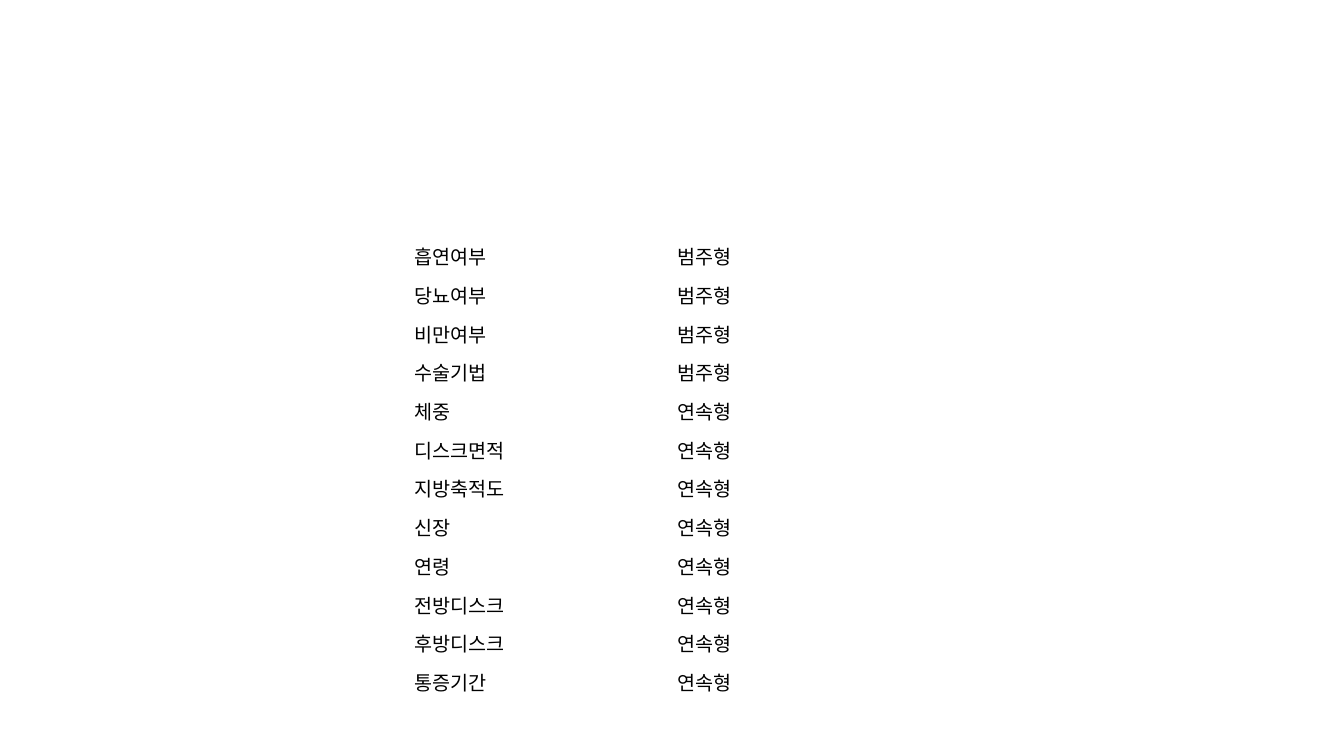
import pptx
import pptx.dml.color
import pptx.util

SLIDE_W, SLIDE_H = pptx.util.Inches(13.33), pptx.util.Inches(7.5)
CATEGORICAL, CONTINUOUS = "범주형", "연속형"
VARIABLES = {
    CATEGORICAL: ["흡연여부", "당뇨여부", "비만여부", "수술기법"],
    CONTINUOUS: ["체중", "디스크면적", "지방축적도", "신장", "연령",
                 "전방디스크", "후방디스크", "통증기간"],
}


def color(hex_string):
    return pptx.dml.color.RGBColor.from_string(hex_string)


def format_cell(cell, text):
    cell.text = text
    cell.fill.background()
    margin = pptx.util.Inches(0.05)
    cell.margin_left = cell.margin_right = margin
    cell.margin_top = cell.margin_bottom = margin
    font = cell.text_frame.paragraphs[0].font
    font.name = "Arial"
    font.size = pptx.util.Pt(14)
    font.color.rgb = color("000000")


def add_variable_table(slide, left, top, width, height):
    """List each variable beside its type, in equal rows and columns."""
    rows = [(name, kind) for kind, names in VARIABLES.items() for name in names]
    variables = slide.shapes.add_table(
        len(rows), 2, left, top, width, height).table
    variables.first_row = variables.horz_banding = False
    for r, row in enumerate(rows):
        for c, text in enumerate(row):
            format_cell(variables.cell(r, c), text)


def main():
    deck = pptx.Presentation()
    deck.slide_width, deck.slide_height = SLIDE_W, SLIDE_H
    slide = deck.slides.add_slide(deck.slide_layouts[6])
    slide.background.fill.solid()
    slide.background.fill.fore_color.rgb = color("FFFFFF")

    # Variables and their types
    add_variable_table(slide, pptx.util.Inches(4.06), pptx.util.Inches(2.35),
                       pptx.util.Inches(5.22), pptx.util.Inches(4.05))
    deck.save("out.pptx")


if __name__ == "__main__":
    main()
